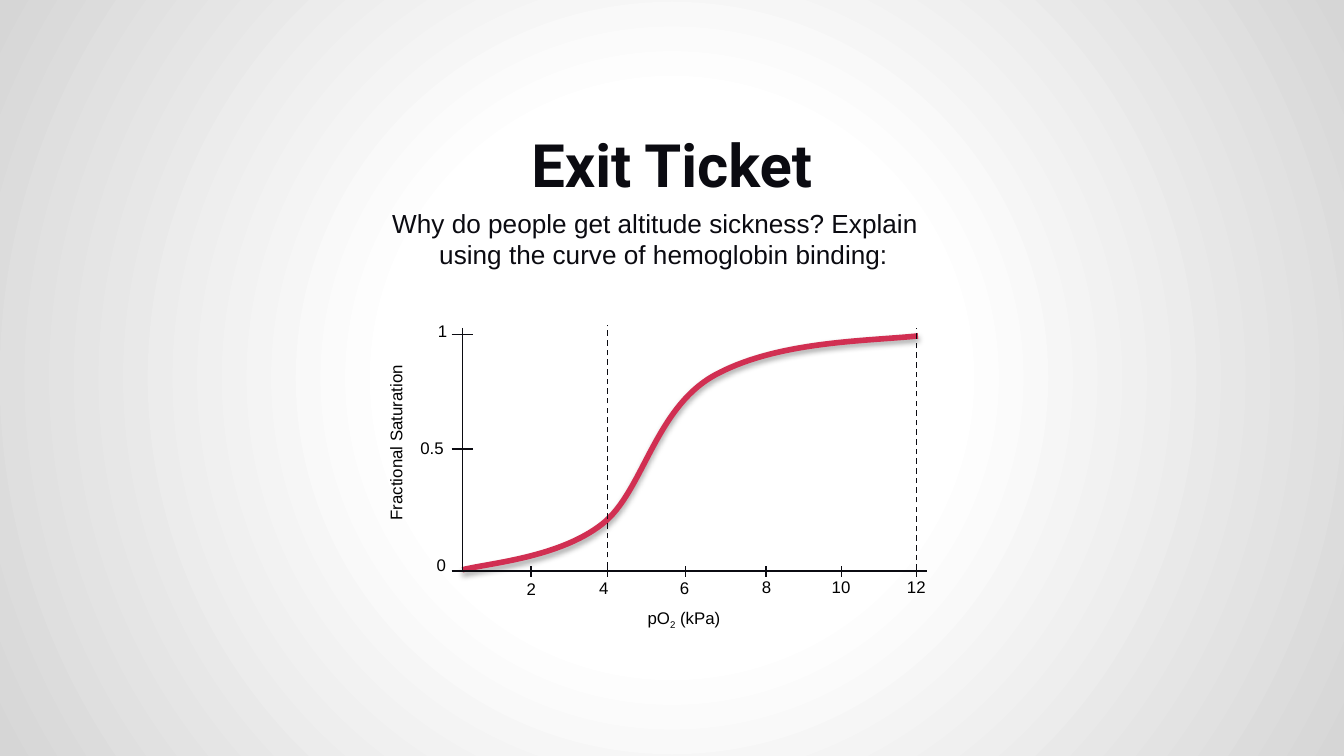
from lxml import etree
from pptx import Presentation
from pptx.dml.color import RGBColor
from pptx.enum.dml import MSO_LINE_DASH_STYLE as DASH
from pptx.enum.shapes import MSO_CONNECTOR as CONN
from pptx.enum.text import MSO_ANCHOR as ANCHOR, PP_ALIGN as ALIGN
from pptx.oxml import parse_xml
from pptx.oxml.ns import nsdecls, qn
from pptx.util import Inches, Pt

INK = RGBColor(0x0B, 0x0B, 0x11)
BLACK = RGBColor(0, 0, 0)
CRIMSON = RGBColor(0xD1, 0x2F, 0x52)

# Slide size (16:9) and plot frame, in inches
W = 10
H = W * 9 / 16
X0, X1 = 3.44, 6.9
Y_TOP, Y0 = 2.44, 4.25
TICK = 0.08

# X ticks: label, position, label left, label top, label width
X_TICKS = [("2", 3.95, 3.82, 4.26, 0.29), ("4", 4.52, 4.36, 4.25, 0.29),
           ("6", 5.1, 4.96, 4.25, 0.29), ("8", 5.7, 5.57, 4.24, 0.29),
           ("10", 6.26, 6.09, 4.24, 0.4), ("12", 6.82, 6.65, 4.24, 0.4)]
# Y ticks: the same order
Y_TICKS = [("1", 2.49, 3.16, 2.34, 0.21), ("0.5", 3.34, 3.03, 3.21, 0.47),
           ("0", Y0, 3.15, 4.08, 0.21)]
# Dashed guides: position, bottom, top
GUIDES = [(4.52, 4.22, 2.42), (6.82, 4.24, 2.44)]

# Start point, then three control points per Bezier segment
CURVE = [(3.44, 4.24),
         (3.64, 4.19), (4.16, 4.15), (4.48, 3.9),
         (4.79, 3.66), (4.87, 3.02), (5.34, 2.78),
         (5.8, 2.54), (6.43, 2.54), (6.83, 2.5)]


def set_background(s):
    s.background.fill.solid()
    bg_pr = s.element.find(".//" + qn("p:bgPr"))
    stops = "".join(
        f'<a:gs pos="{pos * 1000}"><a:srgbClr val="{color}"/></a:gs>'
        for pos, color in [(0, "FFFFFF"), (36, "FFFFFF"), (100, "D6D6D6")])
    grad = parse_xml(
        f'<a:gradFill {nsdecls("a")}><a:gsLst>{stops}</a:gsLst>'
        '<a:path path="circle"><a:fillToRect l="50000" t="50000" '
        'r="50000" b="50000"/></a:path></a:gradFill>')
    bg_pr.replace(bg_pr[0], grad)


def add_text(s, text, x, y, w, h, size=9, font="Arial", color=BLACK,
             bold=False, inset=0.05):
    box = s.shapes.add_textbox(Inches(x), Inches(y), Inches(w), Inches(h))
    tf = box.text_frame
    tf.word_wrap = True
    tf.margin_top = tf.margin_bottom = Inches(inset)
    p = tf.paragraphs[0]
    p.text = text
    format_run(p.runs[0], size, font, color, bold)
    return tf


def format_run(r, size=9, font="Arial", color=BLACK, bold=False):
    r.font.size = Pt(size)
    r.font.name = font
    r.font.bold = bold
    r.font.color.rgb = color


def add_line(s, x1, y1, x2, y2, dashed=False):
    line = s.shapes.add_connector(
        CONN.STRAIGHT, Inches(x1), Inches(y1), Inches(x2), Inches(y2))
    line.line.color.rgb = INK
    line.line.width = Pt(0.75)
    if dashed:
        line.line.dash_style = DASH.DASH
    etree.SubElement(line.element.spPr, qn("a:effectLst"))


def add_curve(s, points):
    points = [(Inches(x), Inches(y)) for x, y in points]
    builder = s.shapes.build_freeform(*points[0])
    builder.add_line_segments(points[1:], close=False)
    sp = builder.convert_to_shape()
    sp.fill.background()
    sp.line.color.rgb = CRIMSON
    sp.line.width = Pt(3)

    # Merge every three line segments into one cubic Bezier
    outline = sp.element.find(".//" + qn("a:path"))
    steps = outline.findall(qn("a:lnTo"))
    for i in range(0, len(steps), 3):
        bezier = etree.SubElement(outline, qn("a:cubicBezTo"))
        for step in steps[i:i + 3]:
            bezier.append(step[0])
            outline.remove(step)

    # Soft shadow below the curve
    sp.element.spPr.append(parse_xml(
        f'<a:effectLst {nsdecls("a")}><a:outerShdw blurRad="{Pt(3.1)}" '
        f'dist="{Pt(1.8)}" dir="5400000" rotWithShape="0">'
        '<a:srgbClr val="000000"><a:alpha val="35000"/></a:srgbClr>'
        '</a:outerShdw></a:effectLst>'))


def add_heading(s):
    tf = add_text(s, "Exit Ticket", 2.73, 0.76, 4.54, 0.92, 32, "Roboto",
                  INK, bold=True, inset=0.1)
    tf.vertical_anchor = ANCHOR.MIDDLE
    tf.paragraphs[0].alignment = ALIGN.CENTER

    tf = add_text(s, "Why do people get altitude sickness? Explain using "
                  "the curve of hemoglobin binding:",
                  2.67, 1.44, 4.67, 0.4, 14, color=INK, inset=0.1)
    p_pr = tf.paragraphs[0]._p.get_or_add_pPr()
    p_pr.set("marL", str(Inches(0.5)))
    p_pr.set("indent", str(Inches(-0.35)))


def add_axes(s):
    add_line(s, X0, Y_TOP, X0, Y0)
    add_line(s, X0, Y0, X1, Y0)
    for label, y, left, top, width in Y_TICKS:
        add_line(s, X0 - TICK, y, X0 + TICK, y)
        add_text(s, label, left, top, width, 0.3)
    for label, x, left, top, width in X_TICKS:
        add_line(s, x, Y0 + TICK / 2, x, Y0 - TICK / 2)
        add_text(s, label, left, top, width, 0.3)
    for x, bottom, top in GUIDES:
        add_line(s, x, bottom, x, top, dashed=True)


def add_axis_titles(s):
    tf = add_text(s, "Fractional Saturation", 2.82, 2.46, 0.38, 1.51)
    tf.margin_left = tf.margin_right = Inches(0.1)
    tf._txBody.bodyPr.set("vert", "vert270")

    p = add_text(s, "pO", 4.72, 4.47, 0.82, 0.3).paragraphs[0]
    for text, baseline in [("2", -25), (" (kPa)", 0)]:
        r = p.add_run()
        r.text = text
        format_run(r)
        r.font._element.set("baseline", str(baseline * 1000))


def main():
    prs = Presentation()
    prs.slide_width, prs.slide_height = Inches(W), Inches(H)
    s = prs.slides.add_slide(prs.slide_layouts[6])
    set_background(s)
    add_heading(s)
    add_curve(s, CURVE)
    add_axes(s)
    add_axis_titles(s)
    prs.save("out.pptx")


if __name__ == "__main__":
    main()
